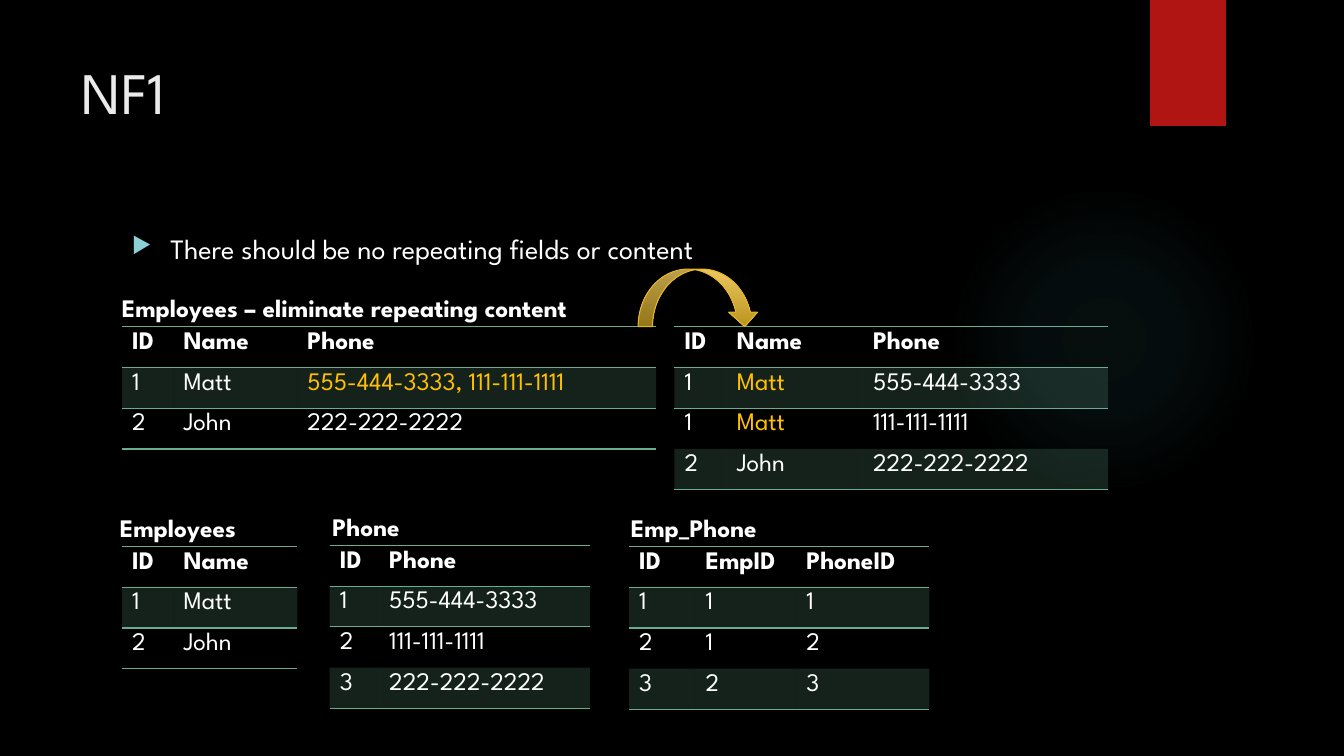
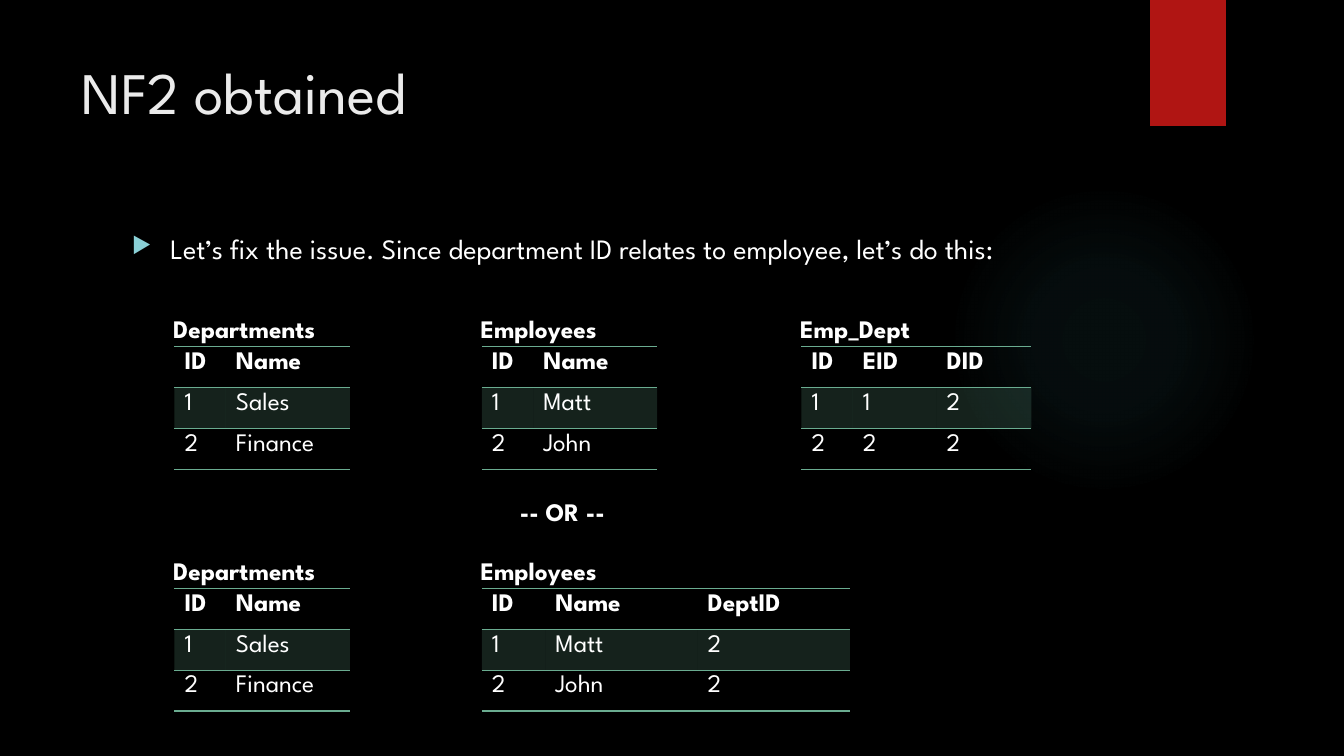
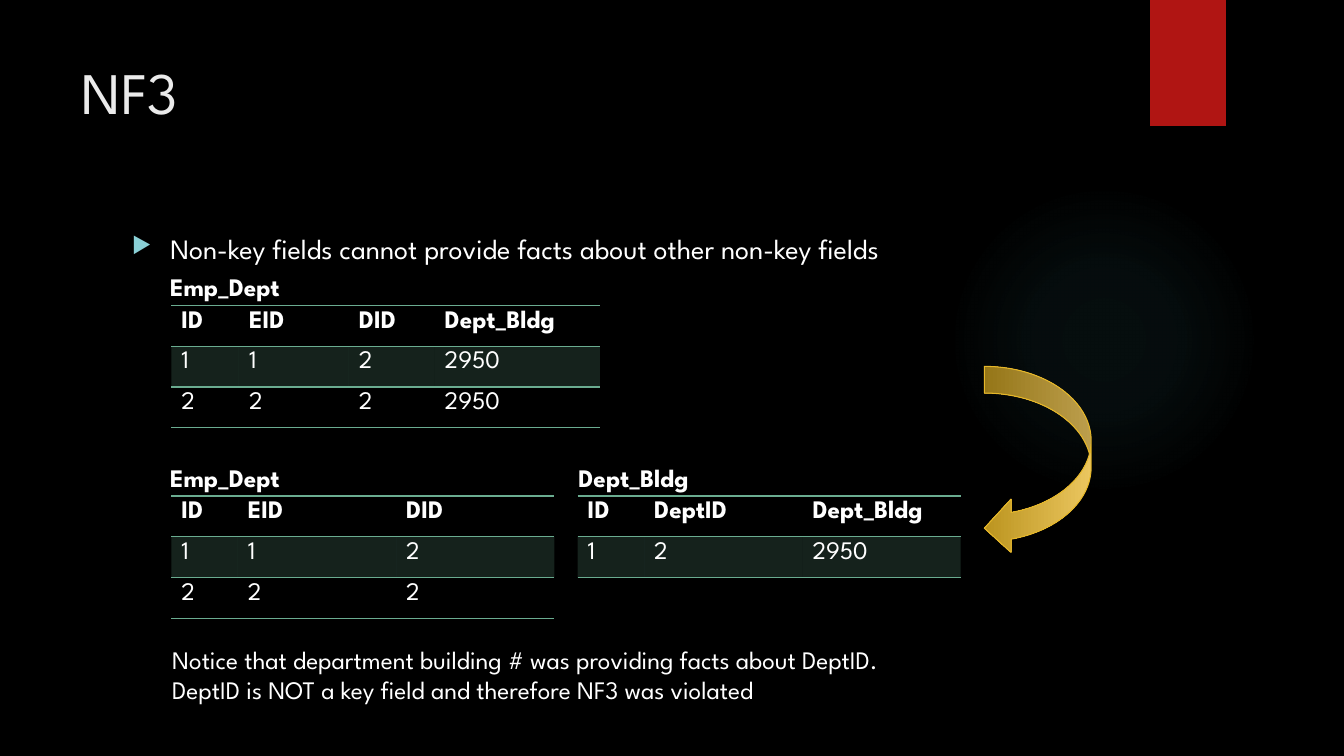
from lxml.etree import SubElement
from pptx import Presentation
from pptx.dml.color import RGBColor
from pptx.enum.shapes import MSO_SHAPE
from pptx.enum.text import MSO_ANCHOR, PP_ALIGN
from pptx.oxml import parse_xml
from pptx.oxml.ns import nsdecls, qn
from pptx.util import Inches, Pt

FONT = "League Spartan"
BLACK = RGBColor(0x00, 0x00, 0x00)
WHITE = RGBColor(0xFF, 0xFF, 0xFF)
TITLE = RGBColor(0xEB, 0xEB, 0xEB)
RED = RGBColor(0xB0, 0x15, 0x13)
TEAL = RGBColor(0x50, 0xB9, 0xC1)
BULLET = RGBColor(0x8A, 0xD0, 0xD6)
GREEN = RGBColor(0x6A, 0xAC, 0x90)
AMBER = RGBColor(0xFF, 0xC0, 0x00)
GOLD = RGBColor(0xE6, 0xB7, 0x29)
GOLD_LIGHT = RGBColor(0xEB, 0xC6, 0x5F)
GOLD_DARK = RGBColor(0xBB, 0x94, 0x1F)

NO_TABLE_STYLE = "{2D5ABB26-0587-4C30-8999-92F81FD0307C}"
SLIDE_W, SLIDE_H = Inches(13.33), Inches(7.5)
ROW = 5.4
CAPTION_RISE, CAPTION_H = 5.13, 5.33
CAPTION_WIDTHS = {
    "Employees": 11.55,
    "Departments": 13.2,
    "Phone": 7.28,
    "Emp_Phone": 12.23,
    "Emp_Dept": 10.8,
    "Dept_Bldg": 10.88,
}
ID_NAME = (3.83, 9.22)
STAFF = ["ID Name", "1 Matt", "2 John"]
DEPARTMENTS = ["ID Name", "1 Sales", "2 Finance"]


def across(percent):
    return int(SLIDE_W * percent / 100)


def down(percent):
    return int(SLIDE_H * percent / 100)


def place(box):
    x, y, w, h = box
    return across(x), down(y), across(w), down(h)


def style(p, size, color=WHITE, bold=False):
    p.font.name = FONT
    p.font.size = Pt(size)
    p.font.bold = bold
    p.font.color.rgb = color


def add_text(slide, box, lines, size=18, bold=False):
    tf = slide.shapes.add_textbox(*place(box)).text_frame
    tf.word_wrap = True
    tf.text = "\n".join(lines)
    for p in tf.paragraphs:
        style(p, size, bold=bold)
    return tf


def add_shape(slide, kind, box):
    sp = slide.shapes.add_shape(kind, *place(box))
    sp.shadow.inherit = False
    sp.line.fill.background()
    return sp


def gradient(sp, stops, direction):
    stop_xml = "".join(
        f'<a:gs pos="{pos * 1000}"><a:srgbClr val="{color}">'
        f'<a:alpha val="{alpha * 1000}"/></a:srgbClr></a:gs>'
        for pos, color, alpha in stops)
    fill = parse_xml(f'<a:gradFill {nsdecls("a")} rotWithShape="1">'
                     f'<a:gsLst>{stop_xml}</a:gsLst>{direction}</a:gradFill>')
    sp.element.spPr.find(qn("a:prstGeom")).addnext(fill)


def add_decoration(slide):
    glow = add_shape(slide, MSO_SHAPE.OVAL, (70.58, 24.4, 23.1, 41.07))
    gradient(glow, [(0, TEAL, 7), (36, TEAL, 6), (69, TEAL, 0)],
             '<a:path path="circle"><a:fillToRect l="50000" t="50000" '
             'r="50000" b="50000"/></a:path>')
    band = add_shape(slide, MSO_SHAPE.RECTANGLE, (85.58, 0, 5.63, 16.67))
    band.fill.solid()
    band.fill.fore_color.rgb = RED


def add_title(slide, text):
    sp = slide.shapes.title
    sp.left, sp.top, sp.width, sp.height = place((5.33, 6.67, 77.18, 20.4))
    tf = sp.text_frame
    tf.text = text
    tf.vertical_anchor = MSO_ANCHOR.TOP
    p = tf.paragraphs[0]
    p.alignment = PP_ALIGN.LEFT
    style(p, 42, TITLE)


def add_bullet(slide, text):
    tf = add_text(slide, (9.08, 30, 73.35, 61.2), [text], size=20)
    p = tf.paragraphs[0]
    p.space_before = Pt(10)
    pPr = p._p.get_or_add_pPr()
    indent = Inches(0.38)
    pPr.set("marL", str(indent))
    pPr.set("indent", str(-indent))
    children = [
        f'<a:buClr {nsdecls("a")}><a:srgbClr val="{BULLET}"/></a:buClr>',
        f'<a:buSzPct {nsdecls("a")} val="80000"/>',
        f'<a:buChar {nsdecls("a")} char="▶"/>',
    ]
    at = list(pPr).index(pPr.find(qn("a:spcBef"))) + 1
    for i, child in enumerate(children):
        pPr.insert(at + i, parse_xml(child))


def rule_cell(cell, sides):
    tcPr = cell._tc.get_or_add_tcPr()
    for i, side in enumerate(sides):
        tcPr.insert(i, parse_xml(
            f'<a:ln{side} {nsdecls("a")} w="12700"><a:solidFill>'
            f'<a:srgbClr val="{GREEN}"/></a:solidFill></a:ln{side}>'))


def shade_cell(cell):
    cell.fill.solid()
    cell.fill.fore_color.rgb = GREEN
    color = cell._tc.tcPr.find(qn("a:solidFill")).find(qn("a:srgbClr"))
    SubElement(color, qn("a:alpha")).set("val", "20000")


def add_relation(slide, caption, x, y, widths, rows, marked=(), outdent=0.83):
    rows = [r.split(" ", len(widths) - 1) for r in rows]
    box = (x, y, sum(widths), ROW * len(rows))
    table = slide.shapes.add_table(len(rows), len(widths), *place(box)).table
    table._tbl.tblPr.find(qn("a:tableStyleId")).text = NO_TABLE_STYLE
    for column, width in zip(table.columns, widths):
        column.width = across(width)
    for i, row in enumerate(rows):
        table.rows[i].height = down(ROW)
        for j, text in enumerate(row):
            cell = table.cell(i, j)
            cell.text = text
            color = AMBER if (i, j) in marked else WHITE
            style(cell.text_frame.paragraphs[0], 18, color, bold=i == 0)
            if i % 2:
                shade_cell(cell)
            else:
                cell.fill.background()
            if i == 0:
                rule_cell(cell, "TB")
            elif i == 1:
                rule_cell(cell, "TB" if len(rows) == 2 else "T")
            elif i == len(rows) - 1:
                rule_cell(cell, "B")
    if caption:
        width = CAPTION_WIDTHS.get(caption, 43.28)
        add_text(slide, (x - outdent, y - CAPTION_RISE, width, CAPTION_H),
                 [caption], bold=True)


def add_arrow(slide, box, rotation=0):
    sp = add_shape(slide, MSO_SHAPE.CURVED_DOWN_ARROW, box)
    sp.rotation = rotation
    gradient(sp, [(0, GOLD_LIGHT, 100), (100, GOLD_DARK, 100)],
             '<a:lin ang="5400000" scaled="0"/>')
    sp.line.color.rgb = GOLD
    sp.line.width = Pt(0.75)


def new_slide(prs, title, bullet):
    slide = prs.slides.add_slide(prs.slide_layouts[5])
    add_decoration(slide)
    add_title(slide, title)
    add_bullet(slide, bullet)
    return slide


def first_form(prs):
    s = new_slide(prs, "NF1", "There should be no repeating fields or content")
    top, bottom = 43.2, 72.27
    add_relation(s, "Employees – eliminate repeating content", 9.08, top,
                 (*ID_NAME, 26.7),
                 ["ID Name Phone", "1 Matt 555-444-3333, 111-111-1111",
                  "2 John 222-222-2222"], marked=[(1, 2)], outdent=0.75)
    add_relation(s, None, 50.18, top, (3.9, 10.13, 18.23),
                 ["ID Name Phone", "1 Matt 555-444-3333",
                  "1 Matt 111-111-1111", "2 John 222-222-2222"],
                 marked=[(1, 1), (2, 1)])
    add_relation(s, "Employees", 9.08, bottom, ID_NAME, STAFF, outdent=0.9)
    add_relation(s, "Phone", 24.53, 72.13, (3.68, 15.68),
                 ["ID Phone", "1 555-444-3333", "2 111-111-1111",
                  "3 222-222-2222"], outdent=0.53)
    add_relation(s, "Emp_Phone", 46.8, bottom, (4.95, 7.5, 9.9),
                 ["ID EmpID PhoneID", "1 1 1", "2 1 2", "3 2 3"], outdent=0.6)
    add_arrow(s, (47.48, 35.6, 9, 7.6))


def second_form(prs):
    s = new_slide(prs, "NF2 obtained",
                  "Let’s fix the issue. Since department ID relates to "
                  "employee, let’s do this:")
    left, middle, right = 12.98, 35.85, 59.63
    top, bottom = 45.87, 77.87
    for y in (top, bottom):
        add_relation(s, "Departments", left, y, ID_NAME, DEPARTMENTS)
    add_relation(s, "Employees", middle, top, ID_NAME, STAFF)
    add_relation(s, "Emp_Dept", right, top, (3.83, 6.23, 7.05),
                 ["ID EID DID", "1 1 2", "2 2 2"])
    add_relation(s, "Employees", middle, bottom, (4.73, 11.33, 11.33),
                 ["ID Name DeptID", "1 Matt 2", "2 John 2"])
    add_text(s, (37.95, 64.93, 8.4, CAPTION_H), ["-- OR --"], bold=True)


def third_form(prs):
    s = new_slide(prs, "NF3", "Non-key fields cannot provide facts about "
                              "other non-key fields")
    left, bottom = 12.75, 65.6
    split = (4.95, 11.78, 11.78)
    add_relation(s, "Emp_Dept", left, 40.4, (5.03, 8.18, 6.38, 12.3),
                 ["ID EID DID Dept_Bldg", "1 1 2 2950", "2 2 2 2950"])
    add_relation(s, "Emp_Dept", left, bottom, split,
                 ["ID EID DID", "1 1 2", "2 2 2"])
    add_relation(s, "Dept_Bldg", 42.98, bottom, split,
                 ["ID DeptID Dept_Bldg", "1 2 2950"], outdent=0.68)
    add_arrow(s, (70.2, 53.87, 14.03, 14.13), rotation=90)
    add_text(s, (12.08, 84.53, 65.25, 9.47),
             ["Notice that department building # was providing facts about "
              "DeptID.",
              "DeptID is NOT a key field and therefore NF3 was violated"])


def main():
    prs = Presentation()
    prs.slide_width, prs.slide_height = SLIDE_W, SLIDE_H
    background = prs.slide_master.background.fill
    background.solid()
    background.fore_color.rgb = BLACK
    for build in (first_form, second_form, third_form):
        build(prs)
    prs.save("out.pptx")


if __name__ == "__main__":
    main()
